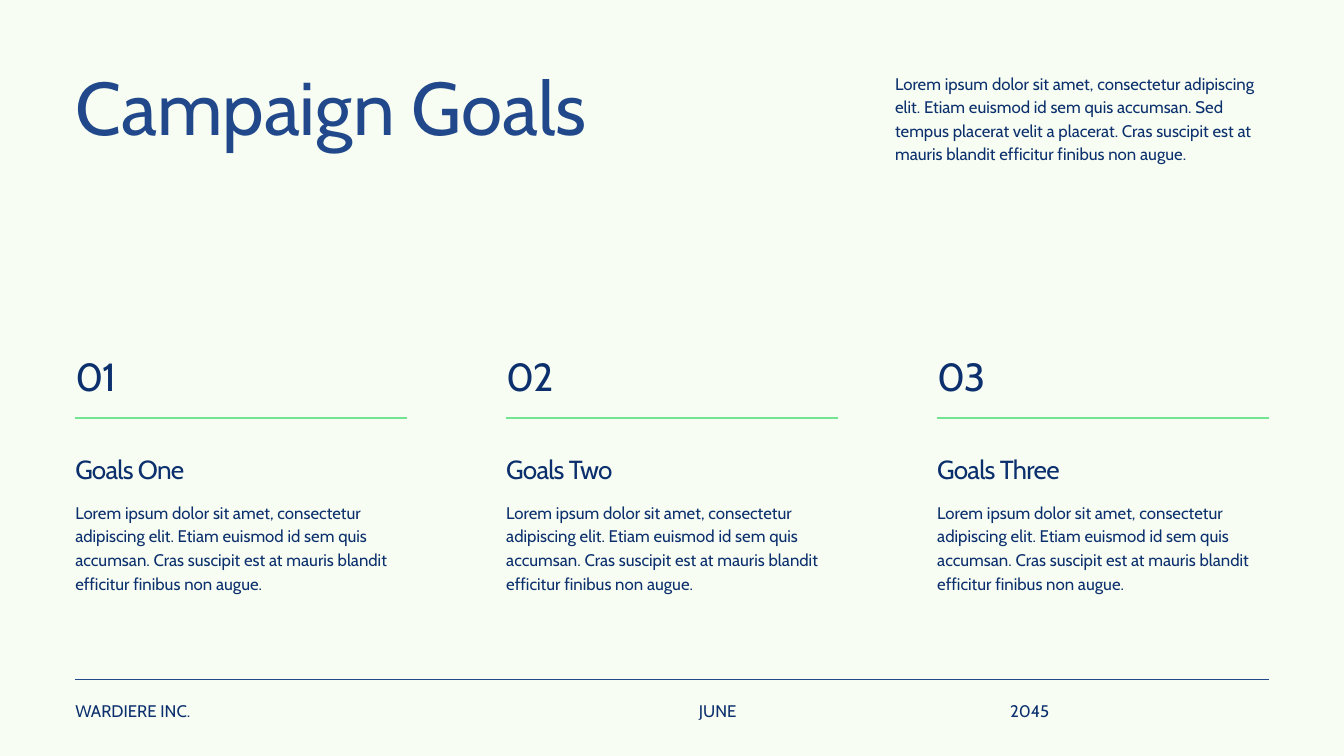
import pptx
import pptx.dml.color
import pptx.enum.shapes
import pptx.enum.text
import pptx.oxml
import pptx.oxml.ns
import pptx.util

COLORS = {"background": "F7FDF2", "title": "21488A", "text": "0C306D", "accent": "73E491"}
FONT = "Cabin"

# Grid in inches: three equal columns between the side margins
WIDTH, HEIGHT = 20, 11.25
MARGIN, GAP = 1.12, 1.48
RIGHT = WIDTH - MARGIN
COL = (RIGHT - MARGIN - 2 * GAP) / 3
ROWS = {"title": 0.96, "intro": 1.04, "number": 5.13, "rule": 6.22,
        "heading": 6.67, "body": 7.43, "footer_rule": 10.11, "footer": 10.37}

STYLES = {
    "title": {"size": 80, "leading": 92, "color": "title", "spacing": 0},
    "number": {"size": 42, "leading": 58.8, "color": "text", "spacing": -1.3},
    "heading": {"size": 28, "leading": 39.2, "color": "text", "spacing": -0.8},
    "body": {"size": 18, "leading": 25.2, "color": "text", "spacing": 0},
}

LOREM = "Lorem ipsum dolor sit amet, consectetur adipiscing elit. Etiam euismod id sem quis accumsan. "
ENDING = "Cras suscipit est at mauris blandit efficitur finibus non augue."
INTRO = LOREM + "Sed tempus placerat velit a placerat. " + ENDING
GOALS = ["Goals One", "Goals Two", "Goals Three"]

prs = pptx.Presentation()
prs.slide_width = pptx.util.Inches(WIDTH)
prs.slide_height = pptx.util.Inches(HEIGHT)
s = prs.slides.add_slide(prs.slide_layouts[6])
s.background.fill.solid()
s.background.fill.fore_color.rgb = pptx.dml.color.RGBColor.from_string(COLORS["background"])


def add_text(text, style, x, y, w, h):
    look = STYLES[style]
    sp = s.shapes.add_textbox(*map(pptx.util.Inches, (x, y, w, h)))
    tf = sp.text_frame
    frame = {"margin_left": 0, "margin_top": 0, "margin_right": 0, "margin_bottom": 0,
             "word_wrap": True, "auto_size": pptx.enum.text.MSO_AUTO_SIZE.SHAPE_TO_FIT_TEXT}
    for name, value in frame.items():
        setattr(tf, name, value)
    p = tf.paragraphs[0]
    p.line_spacing = pptx.util.Pt(look["leading"])
    r = p.add_run()
    r.text = text
    for name, value in {"name": FONT, "size": pptx.util.Pt(look["size"])}.items():
        setattr(r.font, name, value)
    r.font.color.rgb = pptx.dml.color.RGBColor.from_string(COLORS[look["color"]])
    if look["spacing"]:
        r._r.get_or_add_rPr().set("spc", str(round(look["spacing"] * 100)))


def add_rule(x1, x2, y, color):
    """Draw a horizontal line from x1 to x2."""
    line = s.shapes.add_connector(pptx.enum.shapes.MSO_CONNECTOR.STRAIGHT,
                                  *map(pptx.util.Inches, (x1, y, x2, y)))
    line.line.color.rgb = pptx.dml.color.RGBColor.from_string(COLORS[color])
    line.line.width = pptx.util.Pt(1.5)
    line._element.spPr.append(pptx.oxml.parse_xml(
        f"<a:effectLst {pptx.oxml.ns.nsdecls('a')}/>"))


# Header
add_text("Campaign Goals", "title", MARGIN, ROWS["title"], WIDTH / 2 - MARGIN, 2.76)
intro_width = 5.56
add_text(INTRO, "body", RIGHT - intro_width, ROWS["intro"], intro_width, 1.75)

# Goal columns
for i, goal in enumerate(GOALS):
    x = MARGIN + i * (COL + GAP)
    add_text(f"{i + 1:02d}", "number", x, ROWS["number"], COL / 2, 0.88)
    add_rule(x, x + COL, ROWS["rule"], "accent")
    add_text(goal, "heading", x, ROWS["heading"], COL, 0.6)
    add_text(LOREM + ENDING, "body", x, ROWS["body"], COL, 1.75)

# Footer: company on the left, month and year in two cells on the right
add_rule(MARGIN, RIGHT, ROWS["footer_rule"], "title")
cell, cell_gap = 3.85, 0.78
year_x = RIGHT - cell
month_x = year_x - cell - cell_gap
for text, x in [("WARDIERE INC.", MARGIN), ("JUNE", month_x), ("2045", year_x)]:
    add_text(text, "body", x, ROWS["footer"], cell, 0.38)

prs.save("out.pptx")
